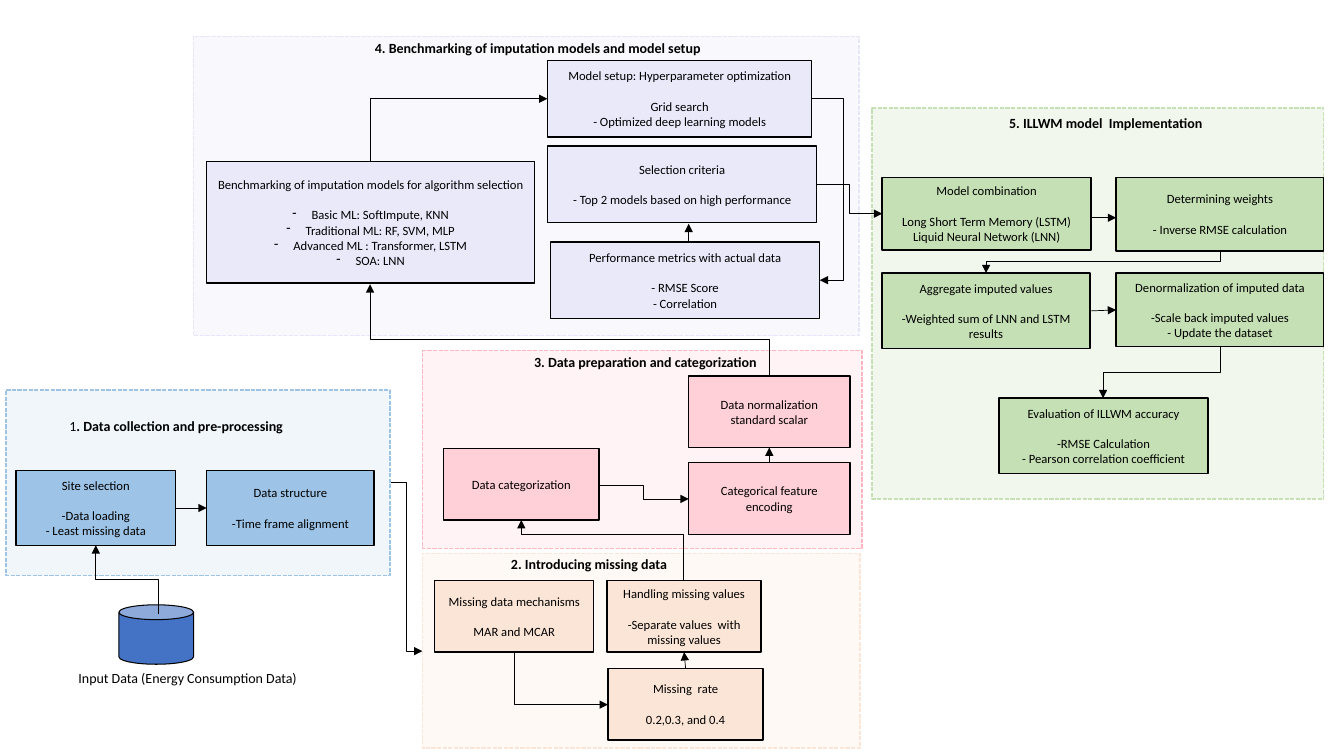
from lxml import etree
from pptx import Presentation
from pptx import util as u
from pptx.dml.color import RGBColor
from pptx.enum import dml, shapes, text
from pptx.oxml.ns import qn

COLS, ROWS = 1333, 750
FONT, BLACK = "Calibri", "000000"
BOX_SIZE, TITLE_SIZE, GAP = 9, 10, 11

PANELS = [
    dict(title=["3. Data preparation and categorization"], centred=True,
         color="FFB6C1", tint=16, box_tint=56,
         at=(419, 348, 436, 196), title_at=(509, 346, 262, 27),
         boxes=[((440, 445, 154, 71), ["Data categorization"]),
                ((683, 459, 160, 71), ["Categorical feature encoding"]),
                ((683, 373, 160, 71), ["Data normalization standard scalar"])]),
    dict(title=["2. Introducing missing data"],
         color="FBE5D6", tint=22, box_tint=100,
         at=(419, 549, 434, 193), title_at=(497, 546, 234, 27),
         boxes=[((431, 576, 158, 71), ["Missing data mechanisms", "MAR and MCAR"]),
                ((603, 663, 154, 71), ["Missing  rate", "0.2,0.3, and 0.4"]),
                ((602, 576, 153, 71), ["Handling missing values",
                                       "-Separate values  with missing values"])]),
    dict(title=["1", ". Data collection and pre-processing"],
         color="9DC3E6", tint=14, box_tint=100,
         at=(6, 387, 381, 184), title_at=(59, 409, 276, 27),
         boxes=[((16, 467, 158, 74), ["Site selection", "-Data loading",
                                      "- Least missing data"]),
                ((205, 467, 166, 74), ["Data structure", "-Time frame alignment"])]),
    dict(title=["4. Benchmarking of imputation models and model setup"],
         color="E6E6FA", tint=26, box_tint=78,
         at=(192, 36, 660, 297), title_at=(362, 34, 401, 27),
         boxes=[((205, 160, 325, 121),
                 ["Benchmarking of imputation models for algorithm selection",
                  "• Basic ML: SoftImpute, KNN", "• Traditional ML: RF, SVM, MLP",
                  "• Advanced ML : Transformer, LSTM", "• SOA: LNN"]),
                ((543, 60, 262, 76), ["Model setup: Hyperparameter optimization",
                                      "Grid search", "- Optimized deep learning models"]),
                ((543, 145, 267, 76), ["Selection criteria",
                                       "- Top 2 models based on high performance"]),
                ((546, 240, 267, 76), ["Performance metrics with actual data",
                                       "- RMSE Score", "- Correlation"])]),
    dict(title=["5. ILLWM model  Implementation"],
         color="C5E0B4", tint=24, box_tint=100,
         at=(865, 107, 448, 388), title_at=(991, 109, 248, 27),
         boxes=[((875, 176, 207, 72), ["Model combination", "Long Short Term Memory (LSTM)",
                                       "Liquid Neural Network (LNN)"]),
                ((1107, 176, 206, 73), ["Determining weights", "- Inverse RMSE calculation"]),
                ((875, 271, 206, 75), ["Aggregate imputed values",
                                       "-Weighted sum of LNN and LSTM results"]),
                ((1107, 271, 206, 73), ["Denormalization of imputed data",
                                        "-Scale back imputed values", "- Update the dataset"]),
                ((991, 395, 207, 75), ["Evaluation of ILLWM accuracy", "-RMSE Calculation",
                                       "- Pearson correlation coefficient"])]),
]
DATABASE_AT = (118, 600, 74, 59)
DATABASE_LABEL, DATABASE_LABEL_AT = "Input Data (Energy Consumption Data)", (68, 659, 244, 27)

TOP, LEFT, BOTTOM, RIGHT = range(4)
JOINS = [("Site selection", RIGHT, "Data structure", LEFT),
         ("Missing  rate", TOP, "Handling missing values", BOTTOM),
         ("Categorical feature encoding", TOP, "Data normalization standard scalar", BOTTOM),
         ("Aggregate imputed values", RIGHT, "Denormalization of imputed data", LEFT)]
STRAIGHT = [(683, 241, 683, 222), (1082, 216, 1107, 216)]
ACROSS = [((388, 479, 419, 646), 0.5), ((594, 482, 683, 495), 0.5),
          ((805, 98, 813, 278), 3.98), ((810, 183, 875, 212), 0.5)]
UPDOWN = [((510, 647, 603, 699), None), ((678, 576, 517, 516), 0.77),
          ((763, 373, 367, 282), 0.4), ((367, 160, 543, 98), None),
          ((157, 609, 95, 541), 0.5), ((1210, 248, 978, 271), 0.5),
          ((1210, 344, 1094, 395), 0.5)]

prs = Presentation()
prs.slide_width, prs.slide_height = u.Inches(13.33), u.Inches(7.5)
slide = prs.slides.add_slide(prs.slide_layouts[6])


def grid(*values):
    steps = prs.slide_width / COLS, prs.slide_height / ROWS
    return [u.Emu(round(v * steps[i % 2])) for i, v in enumerate(values)]


def rgb(color):
    return RGBColor.from_string(color)


def write(p, content, size=BOX_SIZE, bold=False, align=text.PP_ALIGN.LEFT):
    p.alignment = align
    r = p.add_run()
    r.text = content
    r.font.name, r.font.size, r.font.bold = FONT, u.Pt(size), bold
    r.font.color.rgb = rgb(BLACK)


def label(at, parts, centred=False, bold_last=True):
    tf = slide.shapes.add_textbox(*grid(*at)).text_frame
    tf.word_wrap = True
    for i, part in enumerate(parts):
        write(tf.paragraphs[0], part, size=TITLE_SIZE, bold=bold_last and i == len(parts) - 1,
              align=text.PP_ALIGN.CENTER if centred else text.PP_ALIGN.LEFT)


def block(at, fill, tint=100, line=BLACK, width=1.0, kind=shapes.MSO_SHAPE.RECTANGLE):
    sp = slide.shapes.add_shape(kind, *grid(*at))
    sp.shadow.inherit = False
    sp.fill.solid()
    sp.fill.fore_color.rgb = rgb(fill)
    if tint < 100:
        color = sp._element.spPr.find(qn("a:solidFill"))[0]
        etree.SubElement(color, qn("a:alpha")).set("val", str(tint * 1000))
    sp.line.color.rgb = rgb(line)
    sp.line.width = u.Pt(width)
    return sp


def fill_box(sp, lines):
    tf = sp.text_frame
    tf.word_wrap = True
    tf.vertical_anchor = text.MSO_ANCHOR.MIDDLE
    for i, line in enumerate(lines):
        p = tf.paragraphs[0] if i == 0 else tf.add_paragraph()
        write(p, line.removeprefix("• "), align=text.PP_ALIGN.CENTER)
        if i == 1:
            p.space_before = u.Pt(GAP)
        if line.startswith("• "):
            pPr = p._p.get_or_add_pPr()
            pPr.set("marL", str(u.Inches(0.19)))
            pPr.set("indent", str(-u.Inches(0.19)))
            etree.SubElement(pPr, qn("a:buChar")).set("char", "-")


def arrow(ends, kind=shapes.MSO_CONNECTOR.STRAIGHT):
    cxn = slide.shapes.add_connector(kind, *grid(*ends))
    cxn.line.color.rgb = rgb(BLACK)
    cxn.line.width = u.Pt(0.5)
    etree.SubElement(cxn.line._get_or_add_ln(), qn("a:tailEnd")).set("type", "triangle")
    etree.SubElement(cxn._element.spPr, qn("a:effectLst"))
    return cxn


def elbow(ends, bend, vertical=False):
    x1, y1, x2, y2 = ends
    if vertical:
        cx, cy = (x1 + x2) / 2, (y1 + y2) / 2
        half_w, half_h = abs(y2 - y1) / 2, abs(x2 - x1) / 2
        if (x2 > x1) == (y2 > y1):
            half_h = -half_h
        ends = cx - half_w, cy - half_h, cx + half_w, cy + half_h
    spPr = arrow(ends, shapes.MSO_CONNECTOR.ELBOW)._element.spPr
    if vertical:
        spPr.find(qn("a:xfrm")).set("rot", str((90 if y2 > y1 else 270) * 60000))
    geom = spPr.find(qn("a:prstGeom"))
    if bend is None:
        geom.set("prst", "bentConnector2")
    else:
        gd = etree.SubElement(geom.find(qn("a:avLst")), qn("a:gd"))
        gd.set("name", "adj1")
        gd.set("fmla", f"val {round(bend * 100000)}")


boxes = {}
for panel in PANELS:
    frame = block(panel["at"], panel["color"], panel["tint"], line=panel["color"])
    frame.line.dash_style = dml.MSO_LINE.SQUARE_DOT
    label(panel["title_at"], panel["title"], panel.get("centred", False))
    for at, lines in panel["boxes"]:
        boxes[lines[0]] = block(at, panel["color"], panel["box_tint"])
        fill_box(boxes[lines[0]], lines)

block(DATABASE_AT, "4472C4", width=0.75, kind=shapes.MSO_SHAPE.CAN)
label(DATABASE_LABEL_AT, [DATABASE_LABEL], bold_last=False)

for start, start_side, end, end_side in JOINS:
    cxn = arrow((0, 0, 0, 0))
    cxn.begin_connect(boxes[start], start_side)
    cxn.end_connect(boxes[end], end_side)
for ends in STRAIGHT:
    arrow(ends)
for ends, bend in ACROSS:
    elbow(ends, bend)
for ends, bend in UPDOWN:
    elbow(ends, bend, vertical=True)

prs.save("out.pptx")
